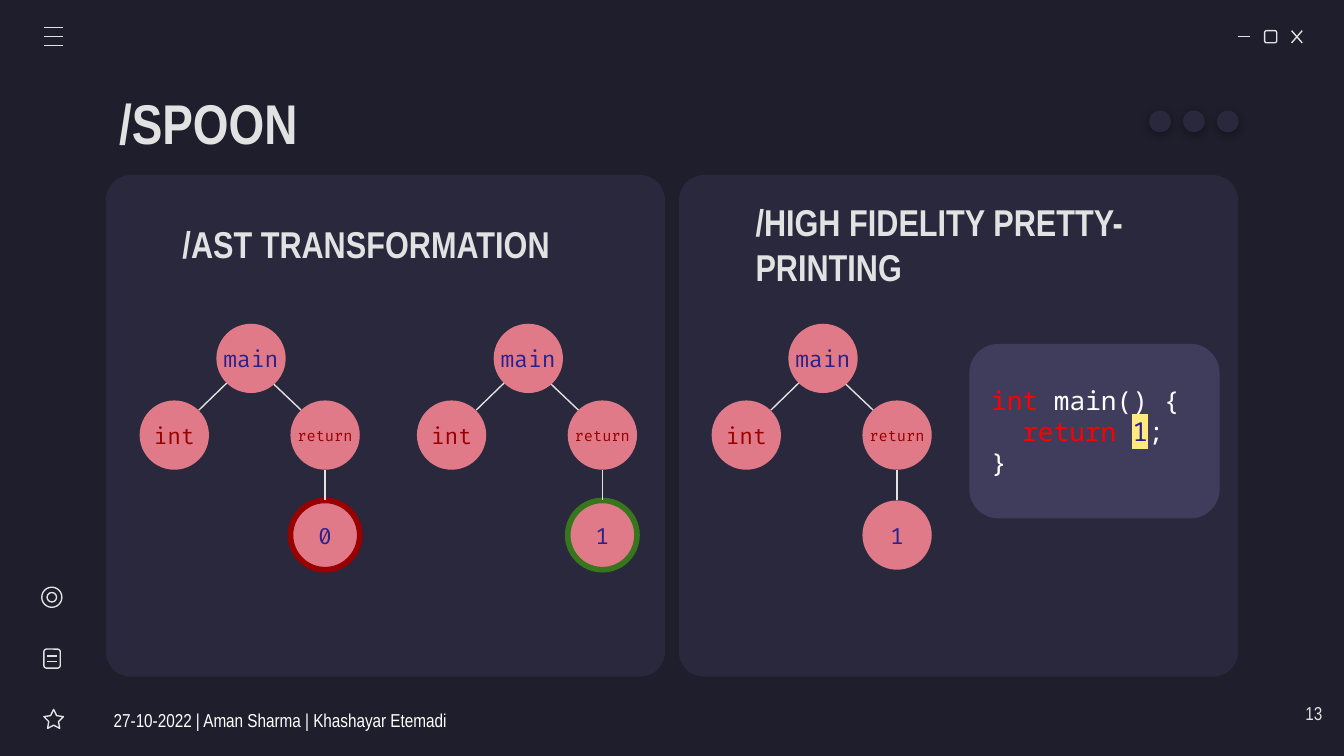
from lxml import etree
from pptx import Presentation
from pptx.dml.color import RGBColor
from pptx.enum.shapes import MSO_CONNECTOR, MSO_SHAPE
from pptx.enum.text import MSO_ANCHOR, PP_ALIGN
from pptx.oxml.ns import qn
from pptx.util import Cm, Pt

ROUND, OVAL, STAR = MSO_SHAPE.ROUNDED_RECTANGLE, MSO_SHAPE.OVAL, MSO_SHAPE.STAR_5_POINT
LINE = MSO_CONNECTOR.STRAIGHT
LEFT, MID, RIGHT = PP_ALIGN.LEFT, PP_ALIGN.CENTER, PP_ALIGN.RIGHT
TOP, CENTRE = MSO_ANCHOR.TOP, MSO_ANCHOR.MIDDLE

NIGHT = RGBColor(0x1E, 0x1E, 0x2C)
PANEL = RGBColor(0x29, 0x28, 0x3D)
CARD = RGBColor(0x40, 0x3D, 0x5C)
PALE = RGBColor(0xE2, 0xE2, 0xE2)
WHITE = RGBColor(0xFF, 0xFF, 0xFF)
PINK = RGBColor(0xE0, 0x7A, 0x88)
BLUE = RGBColor(0x2B, 0x21, 0x8D)
MAROON = RGBColor(0x99, 0x00, 0x00)
RED = RGBColor(0xFF, 0x00, 0x00)
GREEN = RGBColor(0x38, 0x76, 0x1D)
YELLOW = RGBColor(0xFF, 0xEA, 0x7D)
BLACK = RGBColor(0x00, 0x00, 0x00)

HEAD, TREE, CODE = "Arial Narrow", "Fira Code", "Noto Sans Mono"
NODE = 1.31  # node diameter


def assign(target, values):
    for name, value in values.items():
        setattr(target, name, value)


def tint(parent, color):
    return etree.SubElement(parent, qn("a:srgbClr"), val=str(color))


class Page:
    """Holds the style and the current slide; all lengths are in cm."""

    thin = 0.75
    inset = 0.25

    def __init__(self, slide):
        self.slide = slide
        self.shapes = slide.shapes
        slide.background.fill.solid()
        slide.background.fill.fore_color.rgb = NIGHT

    def shape(self, kind, x, y, w, h, fill=None, line=None, width=thin, adj=None):
        item = self.shapes.add_shape(kind, Cm(x), Cm(y), Cm(w), Cm(h))
        item.shadow.inherit = False
        if adj is not None:
            item.adjustments[0] = adj
        for part, color in ((item.fill, fill), (item.line.fill, line)):
            if color is None:
                part.background()
            else:
                part.solid()
                part.fore_color.rgb = color
        if line is not None:
            item.line.width = Pt(width)
        return item

    def line(self, x1, y1, x2, y2):
        item = self.shapes.add_connector(LINE, Cm(x1), Cm(y1), Cm(x2), Cm(y2))
        item.line.color.rgb = PALE
        item.line.width = Pt(self.thin)
        etree.SubElement(item._element.spPr, qn("a:effectLst"))

    def frame(self, item, inset=inset, wrap=True, anchor=CENTRE):
        sides = ("left", "top", "right", "bottom")
        values = {f"margin_{side}": Cm(inset) for side in sides}
        assign(item.text_frame, {**values, "word_wrap": wrap, "vertical_anchor": anchor})
        return item.text_frame

    def run(self, para, text, color, size, name, bold=False, mark=None):
        run = para.add_run()
        run.text = text
        run.font.color.rgb = color
        assign(run.font, {"size": Pt(size), "name": name, "bold": bold})
        if mark is not None:
            light = etree.Element(qn("a:highlight"))
            tint(light, mark)
            run.font._element.find(qn("a:solidFill")).addnext(light)

    def text(self, x, y, w, h, text, size, color=PALE, bold=False, align=LEFT, anchor=CENTRE):
        box = self.shapes.add_textbox(Cm(x), Cm(y), Cm(w), Cm(h))
        para = self.frame(box, anchor=anchor).paragraphs[0]
        para.alignment = align
        self.run(para, text, color, size, HEAD, bold)

    def node(self, x, y, text, color, size=12, ring=None):
        item = self.shape(OVAL, x, y, NODE, NODE, PINK, ring, 3)
        para = self.frame(item, inset=0, wrap=False).paragraphs[0]
        para.alignment = MID
        self.run(para, text, color, size, TREE)

    def tree(self, x, leaf, ring=None):
        """Draws main over int and return, with a leaf below return."""
        top, row, low = 6.12, 7.57, 9.46
        side = x + 2.85
        self.line(x + 3.05, 7.75, x + 2.46, 7.19)
        self.line(x + 1.78, 7.11, x + 1.12, 7.75)
        self.node(x + 1.45, top, "main", BLUE)
        self.node(x, row, "int", MAROON)
        self.node(side, row, "return", MAROON, 8)
        self.node(side, low, leaf, BLUE, ring=ring)
        self.line(side + NODE / 2, row + NODE, side + NODE / 2, low)

    def dot(self, x, y, size):
        item = self.shape(OVAL, x, y, size, size, PANEL)
        glow = etree.SubElement(
            item._element.spPr.find(qn("a:effectLst")), qn("a:outerShdw"),
            blurRad=str(Pt(4.5)), dist=str(Pt(1.5)), dir="5400000",
            algn="bl", rotWithShape="0")
        etree.SubElement(tint(glow, BLACK), qn("a:alpha"), val="30000")

    def code(self, x, y, w, h, rows):
        """Each row is an indent in cm and its (text, colour, mark) parts."""
        frame = self.frame(self.shape(ROUND, x, y, w, h, CARD))
        for i, (indent, parts) in enumerate(rows):
            para = frame.add_paragraph() if i else frame.paragraphs[0]
            para.alignment = LEFT
            para._p.get_or_add_pPr().set("marL", str(Cm(indent)))
            for text, color, mark in parts:
                self.run(para, text, color, 14, CODE, mark=mark)

    def icons(self):
        # window buttons
        self.line(23.39, 0.69, 23.62, 0.69)
        self.shape(ROUND, 23.9, 0.58, 0.23, 0.23, line=PALE)
        self.line(24.41, 0.58, 24.61, 0.81)
        self.line(24.61, 0.58, 24.41, 0.81)
        # menu
        for i in range(3):
            y = 0.52 + 0.17 * i
            self.line(0.83, y, 1.2, y)
        # side bar
        self.shape(STAR, 0.83, 13.41, 0.37, 0.36, line=PALE, adj=0.25)
        self.shape(ROUND, 0.83, 12.27, 0.31, 0.36, line=PALE)
        for y in (12.4, 12.5):
            self.line(0.89, y, 1.07, y)
        for size in (0.38, 0.18):
            self.shape(OVAL, 0.98 - size / 2, 11.29 - size / 2, size, size, line=PALE)


def main():
    deck = Presentation()
    deck.slide_width, deck.slide_height = Cm(25.4), Cm(14.29)
    page = Page(deck.slides.add_slide(deck.slide_layouts[6]))

    heads = ("/AST TRANSFORMATION", "/HIGH FIDELITY PRETTY-PRINTING")
    for i, head in enumerate(heads):
        x = 2 + 10.83 * i
        page.shape(ROUND, x, 3.31, 10.57, 9.48, PANEL, adj=0.05)
        page.text(x + 1.2, 3.96, 8.18, 1.3, head, 20, bold=True)
    page.icons()
    page.text(2, 1.5, 21.4, 1.6, "/SPOON", 30, bold=True)
    for i in range(3):
        page.dot(21.72 + 0.64 * i, 2.09, 0.41)

    for x, leaf, ring in ((2.64, "0", MAROON), (7.88, "1", GREEN), (13.45, "1", None)):
        page.tree(x, leaf, ring)
    page.code(18.32, 6.5, 4.73, 3.3, (
        (0, (("int", RED, None), (" main() {", WHITE, None))),
        (0.59, (("return ", RED, None), ("1", BLUE, YELLOW), (";", WHITE, None))),
        (0, (("}", WHITE, None),)),
    ))

    page.text(1.9, 13.23, 8, 0.76, "27-10-2022 | Aman Sharma | Khashayar Etemadi", 10, WHITE)
    page.text(23.72, 13.06, 1.52, 1.09, "13", 10, align=RIGHT, anchor=TOP)
    deck.save("out.pptx")


if __name__ == "__main__":
    main()
